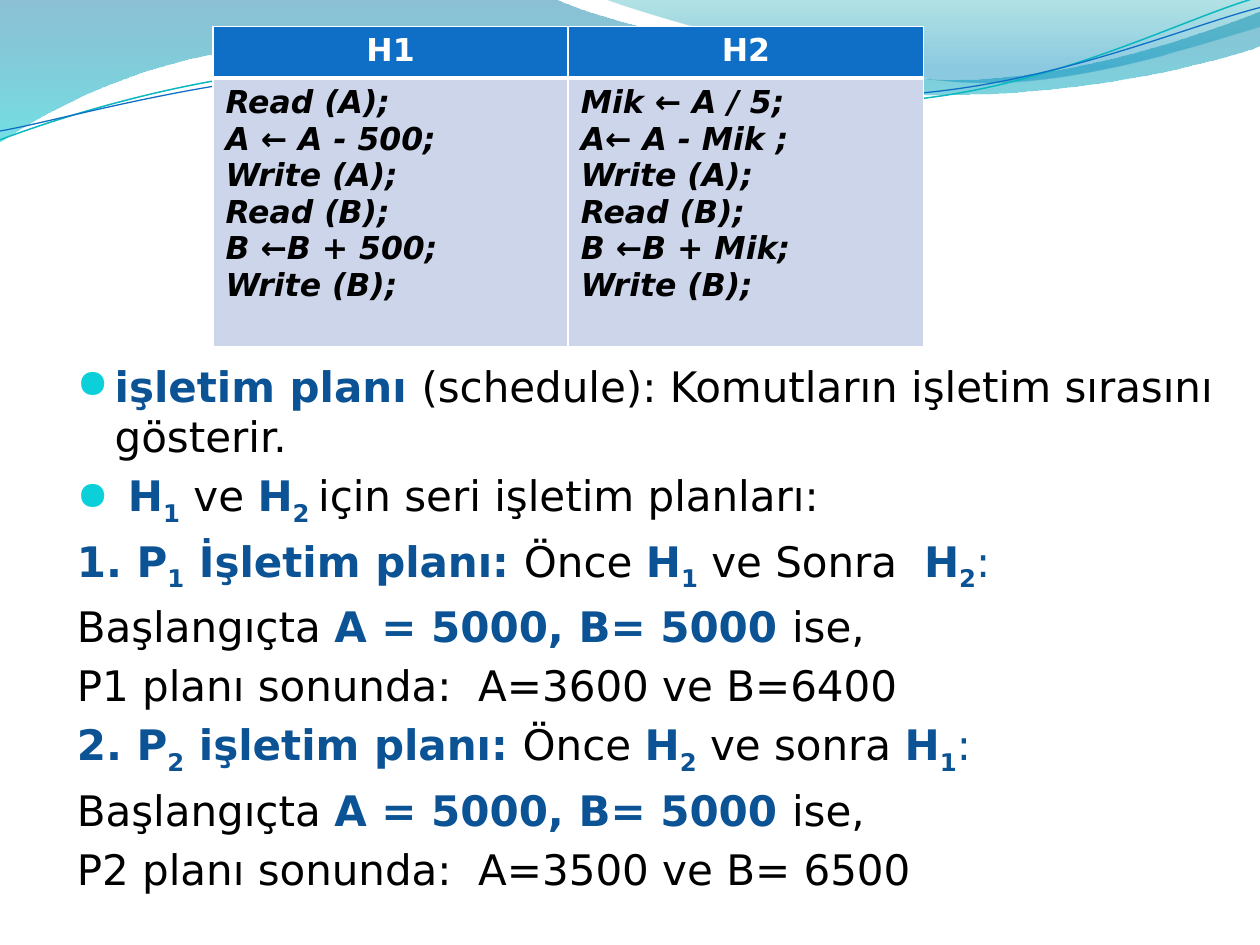
"""Build a slide on serial schedules of two transactions."""
from lxml import etree
from pptx import Presentation
from pptx.dml.color import RGBColor
from pptx.enum.text import MSO_AUTO_SIZE, PP_ALIGN
from pptx.oxml.ns import qn
from pptx.util import Inches, Pt

CENTER, LEFT, NO_FIT = PP_ALIGN.CENTER, PP_ALIGN.LEFT, MSO_AUTO_SIZE.NONE
FONT, NAVY, BLUE, BLACK, WHITE = "DejaVu Sans", "0B5394", "0F6FC6", "000000", "FFFFFF"
STYLES = {"text": (BLACK, False, False), "key": (NAVY, True, False),
          "sub": (NAVY, True, True), "mark": (NAVY, False, False)}

STEPS = {
    "H1": ["Read (A);", "A ← A - 500;", "Write (A);", "Read (B);", "B ←B + 500;", "Write (B);"],
    "H2": ["Mik ← A / 5;", "A← A - Mik ;", "Write (A);", "Read (B);", "B ←B + Mik;", "Write (B);"],
}
START = [("text", "Başlangıçta "), ("key", "A = 5000, B= 5000 "), ("text", "ise,")]
BULLETS = [
    [("key", "işletim planı "), ("text", "(schedule): Komutların işletim sırasını gösterir.")],
    [("mark", " "), ("key", "H"), ("sub", "1"), ("text", " ve "), ("key", "H"), ("sub", "2 "),
     ("text", "için seri işletim planları:")],
]
PLANS = [
    [("key", "1. P"), ("sub", "1"), ("key", " İşletim planı: "), ("text", "Önce "), ("key", "H"),
     ("sub", "1"), ("text", " ve Sonra  "), ("key", "H"), ("sub", "2"), ("mark", ":")],
    START,
    [("text", "P1 planı sonunda:  A=3600 ve B=6400")],
    [("key", "2. P"), ("sub", "2"), ("key", " işletim planı: "), ("text", "Önce "), ("key", "H"),
     ("sub", "2"), ("text", " ve sonra "), ("key", "H"), ("sub", "1"), ("mark", ":")],
    START,
    [("text", "P2 planı sonunda:  A=3500 ve B= 6500")],
]

BANDS = [
    ([(0, 0), (4.4, -0.01), (4.76, 0.17, 6.64, 0.63, 7.58, 0.63),
      (8.53, 0.63, 9.58, 0.26, 10, 0.09), (10.01, 0.36), (9.83, 0.44, 8.7, 0.76, 7.46, 0.75),
      (6.22, 0.75, 3.82, 0.28, 2.57, 0.34), (1.29, 0.36, 0.46, 0.83, -0.01, 1.13), (0, 0)],
     [(0, "0074A1", 45), (1, "00C6CF", 55)]),
    ([(4.79, -0.01), (5.09, 0.11, 6.82, 0.62, 7.69, 0.65), (8.56, 0.69, 9.61, 0.32, 10, 0.21),
      (10, 0), (4.79, -0.01)],
     [(0, "00A1A9", 30), (0.8, "008BBF", 45)]),
]
WAVES = [
    ([(0, 1.11), (0.48, 0.93, 1.58, 0.57, 2.77, 0.52), (3.95, 0.47, 5.93, 0.89, 7.13, 0.8),
      (8.33, 0.71, 9.38, 0.15, 9.98, -0.02)], "0AB8BF", 0.85),
    ([(0, 1.04), (0.47, 0.96, 1.64, 0.61, 2.83, 0.56), (4.03, 0.51, 5.97, 0.84, 7.17, 0.75),
      (8.36, 0.67, 9.41, 0.21, 10, 0.06)], BLUE, 0.75),
]


def rgb(code):
    return RGBColor.from_string(code)


def node(parent, tag, **attrs):
    item = etree.SubElement(parent, qn(tag))
    for name, value in attrs.items():
        item.set(name, str(value))
    return item


def outline(path, close):
    ends = [(Inches(step[-2]), Inches(step[-1])) for step in path]
    pen = slide.shapes.build_freeform(*ends[0])
    pen.add_line_segments(ends[1:], close=close)
    shape = pen.convert_to_shape()
    shape.shadow.inherit = False
    for line, step in zip(list(shape.element.iter(qn("a:lnTo"))), path[1:]):
        if len(step) == 6:
            curve = etree.Element(qn("a:cubicBezTo"))
            for x, y in zip(step[::2], step[1::2]):
                node(curve, "a:pt", x=Inches(x) - shape.left, y=Inches(y) - shape.top)
            line.getparent().replace(line, curve)
    return shape


def style(font, size, color, bold, italic=False):
    font.name, font.size, font.bold, font.italic = FONT, Pt(size), bold, italic
    font.color.rgb = rgb(color)


def border(cell, bottom):
    props = cell._tc.get_or_add_tcPr()
    for i, side in enumerate("LRTB"):
        width = bottom if side == "B" else 1
        line = etree.Element(qn("a:ln" + side), w=str(Pt(width)))
        node(node(line, "a:solidFill"), "a:srgbClr", val=WHITE)
        props.insert(i, line)


def fill_cell(cell, lines, back, color, align, italic, bottom):
    cell.fill.solid()
    cell.fill.fore_color.rgb = rgb(back)
    border(cell, bottom)
    cell.text = "\n".join(lines)
    for para in cell.text_frame.paragraphs:
        para.alignment = align
        style(para.font, 18, color, True, italic)


def write(para, parts, dot):
    para.space_before = Pt(4.8)
    props = para._p.get_or_add_pPr()
    indent = Inches(0.3) if dot else 0
    props.set("marL", str(indent))
    props.set("indent", str(-indent))
    if dot:
        node(node(props, "a:buClr"), "a:srgbClr", val="0BD0D9")
        node(props, "a:buSzPct", val=95000)
        node(props, "a:buFont", typeface="OpenSymbol")
        node(props, "a:buChar", char="●")
    else:
        node(props, "a:buNone")
    for kind, text in parts:
        color, bold, sub = STYLES[kind]
        run = para.add_run()
        run.text = text
        style(run.font, 24, color, bold)
        if sub:
            run._r.get_or_add_rPr().set("baseline", "-25000")


deck = Presentation()
deck.slide_width, deck.slide_height = Inches(10), Inches(7.5)
slide = deck.slides.add_slide(deck.slide_layouts[1])
title, body = slide.placeholders
title.element.getparent().remove(title.element)

for path, stops in BANDS:
    band = outline(path, True)
    band.line.fill.background()
    band.fill.gradient()
    band.fill.gradient_angle = 270
    for stop, (place, color, alpha) in zip(band.fill.gradient_stops, stops):
        stop.position = place
        stop.color.rgb = rgb(color)
    for tint, (place, color, alpha) in zip(band.element.spPr.iter(qn("a:srgbClr")), stops):
        node(tint, "a:alpha", val=alpha * 1000)

for path, color, width in WAVES:
    wave = outline(path, False)
    wave.fill.background()
    wave.line.color.rgb = rgb(color)
    wave.line.width = Pt(width)

heights = (0.41, 2.13)
grid = slide.shapes.add_table(2, len(STEPS), Inches(1.69), Inches(0.21),
                              Inches(5.64), Inches(sum(heights))).table
for row, height in zip(grid.rows, heights):
    row.height = Inches(height)
for col, (name, steps) in enumerate(STEPS.items()):
    fill_cell(grid.cell(0, col), [name], BLUE, WHITE, CENTER, False, 3)
    fill_cell(grid.cell(1, col), steps, "CCD5EA", BLACK, LEFT, True, 1)

body.left, body.top, body.width, body.height = map(Inches, (0.51, 2.81, 9.29, 4.09))
body.element.getparent().append(body.element)
frame = body.text_frame
frame.word_wrap, frame.auto_size = True, NO_FIT
for i, parts in enumerate(BULLETS + PLANS):
    write(frame.add_paragraph() if i else frame.paragraphs[0], parts, i < len(BULLETS))

deck.save("out.pptx")
